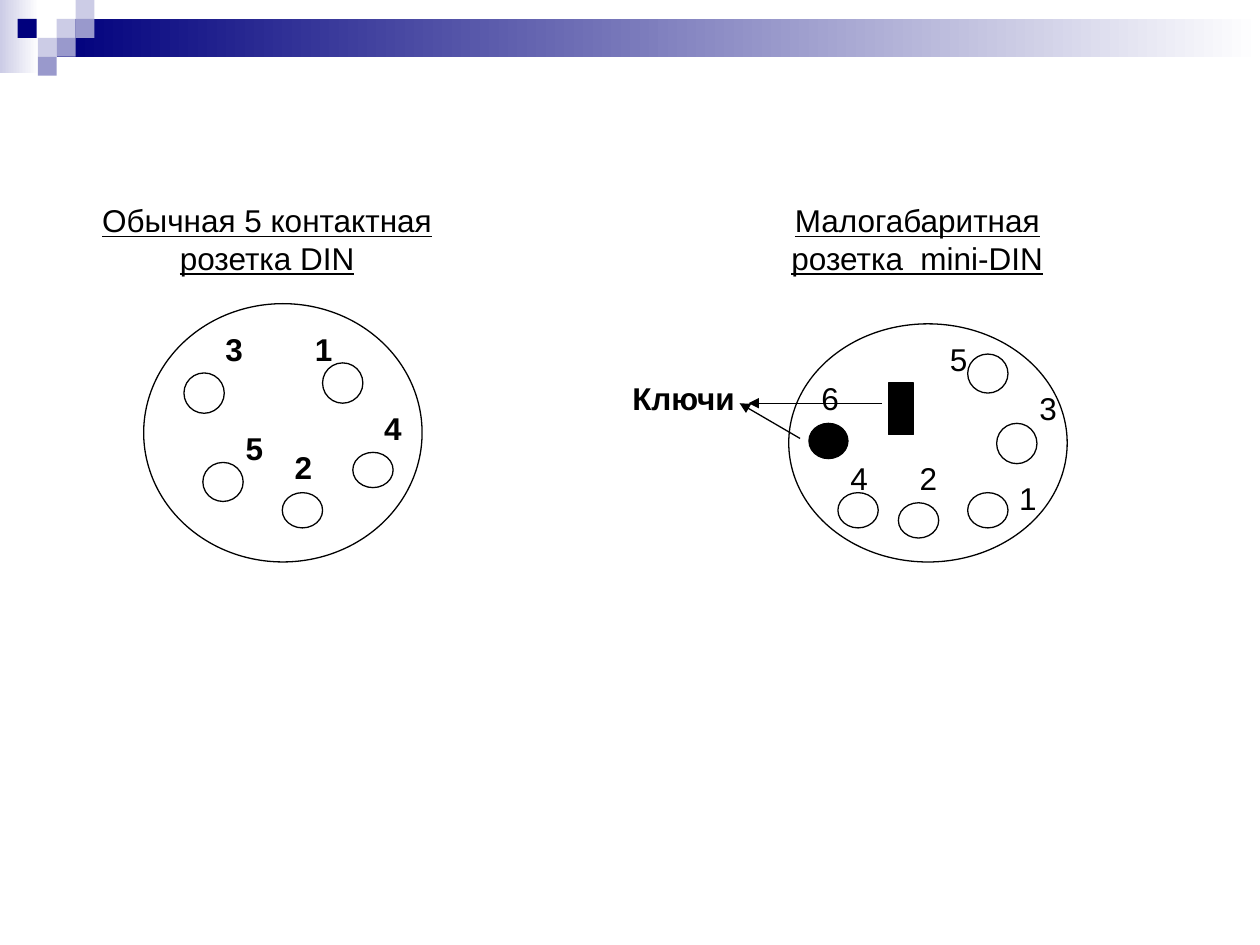
from lxml import etree
from pptx import Presentation
from pptx.dml.color import RGBColor
from pptx.enum import shapes, text
from pptx.oxml.ns import qn
from pptx.util import Inches, Pt

NAVY, LILAC, PALE = "00007D", "9999CC", "CCCCE6"
BLACK, WHITE = "000000", "FFFFFF"
OVAL = shapes.MSO_SHAPE.OVAL
RECTANGLE = shapes.MSO_SHAPE.RECTANGLE

presentation = Presentation()
presentation.slide_width, presentation.slide_height = Inches(10), Inches(7.5)
slide = presentation.slides.add_slide(presentation.slide_layouts[6])


def add_figure(kind, box, fills=(), outlined=True):
    """Add a shape: no fill colour leaves it open, one is solid, two make a gradient."""
    shape = slide.shapes.add_shape(kind, *map(Inches, box))
    shape.shadow.inherit = False
    if len(fills) == 2:
        shape.fill.gradient()
        shape.fill.gradient_angle = 0
        for stop, colour in zip(shape.fill.gradient_stops, fills):
            stop.color.rgb = RGBColor.from_string(colour)
    elif fills:
        shape.fill.solid()
        shape.fill.fore_color.rgb = RGBColor.from_string(fills[0])
    else:
        shape.fill.background()
    if outlined:
        shape.line.color.rgb = RGBColor.from_string(BLACK)
        shape.line.width = Pt(0.75)
    else:
        shape.line.fill.background()


def add_label(words, box, bold=False, caption=False):
    """Add 18 pt text; a caption is centred and underlined."""
    frame = slide.shapes.add_textbox(*map(Inches, box)).text_frame
    frame.word_wrap = True
    frame.auto_size = text.MSO_AUTO_SIZE.SHAPE_TO_FIT_TEXT
    paragraph = frame.paragraphs[0]
    if caption:
        paragraph.alignment = text.PP_ALIGN.CENTER
    run = paragraph.add_run()
    run.text = words
    run.font.name, run.font.size = "Arial", Pt(18)
    run.font.bold, run.font.underline = bold, caption
    run.font.color.rgb = RGBColor.from_string(BLACK)


# Header band with its small squares
add_figure(RECTANGLE, (0, 0, 0.31, 0.58), (PALE, WHITE), outlined=False)
add_figure(RECTANGLE, (0.45, 0.15, 9.55, 0.3), (NAVY, WHITE), outlined=False)
squares = [
    (0.45, 0.15, PALE), (0.6, 0, PALE), (0.6, 0.15, LILAC), (0.3, 0.3, PALE),
    (0.14, 0.15, NAVY), (0.45, 0.3, LILAC), (0.3, 0.45, LILAC),
]
for left, top, colour in squares:
    add_figure(RECTANGLE, (left, top, 0.15, 0.15), (colour,), outlined=False)

# Each socket: caption, outline, contact holes, contact numbers, bold numbers
sockets = [
    ("Обычная 5 контактная розетка DIN", (0.27, 1.55, 3.7, 0.7), (1.14, 2.41, 2.21, 2.05),
     [(1.46, 2.96, 0.32), (2.56, 2.88, 0.32), (1.61, 3.67, 0.31),
      (2.24, 3.91, 0.28), (2.8, 3.59, 0.28)],
     [("1", 2.4, 2.57), ("2", 2.24, 3.51), ("3", 1.69, 2.57),
      ("4", 2.95, 3.2), ("5", 1.85, 3.36)], True),
    ("Малогабаритная розетка  mini-DIN", (6.02, 1.55, 2.52, 0.7), (6.26, 2.57, 2.21, 1.89),
     [(6.65, 3.91, 0.28), (7.13, 3.99, 0.28), (7.68, 3.91, 0.28),
      (7.91, 3.36, 0.32), (7.68, 2.81, 0.31)],
     [("1", 7.99, 3.75), ("2", 7.2, 3.59), ("3", 8.15, 3.04),
      ("4", 6.65, 3.59), ("5", 7.44, 2.65), ("6", 6.42, 2.96)], False),
]
for caption, caption_box, outline, holes, numbers, bold in sockets:
    add_figure(OVAL, outline)
    for left, top, height in holes:
        add_figure(OVAL, (left, top, 0.32, height), (WHITE,))
    for number, left, top in numbers:
        add_label(number, (left, top, 0.32, 0.4), bold)
    add_label(caption, caption_box, caption=True)

# Keys of the mini-DIN socket, with arrows to their label
add_figure(RECTANGLE, (7.05, 3.04, 0.2, 0.41), (BLACK,))
add_figure(OVAL, (6.42, 3.36, 0.31, 0.28), (BLACK,))
add_label("Ключи", (4.92, 2.96, 1.1, 0.4), bold=True)
for ends in [(6.35, 3.48, 5.87, 3.2), (7, 3.2, 5.94, 3.2)]:
    arrow = slide.shapes.add_connector(shapes.MSO_CONNECTOR.STRAIGHT, *map(Inches, ends))
    arrow.line.color.rgb = RGBColor.from_string(BLACK)
    arrow.line.width = Pt(0.75)
    etree.SubElement(arrow.line._get_or_add_ln(), qn("a:tailEnd"), type="triangle")
    etree.SubElement(arrow._element.spPr, qn("a:effectLst"))

presentation.save("out.pptx")
